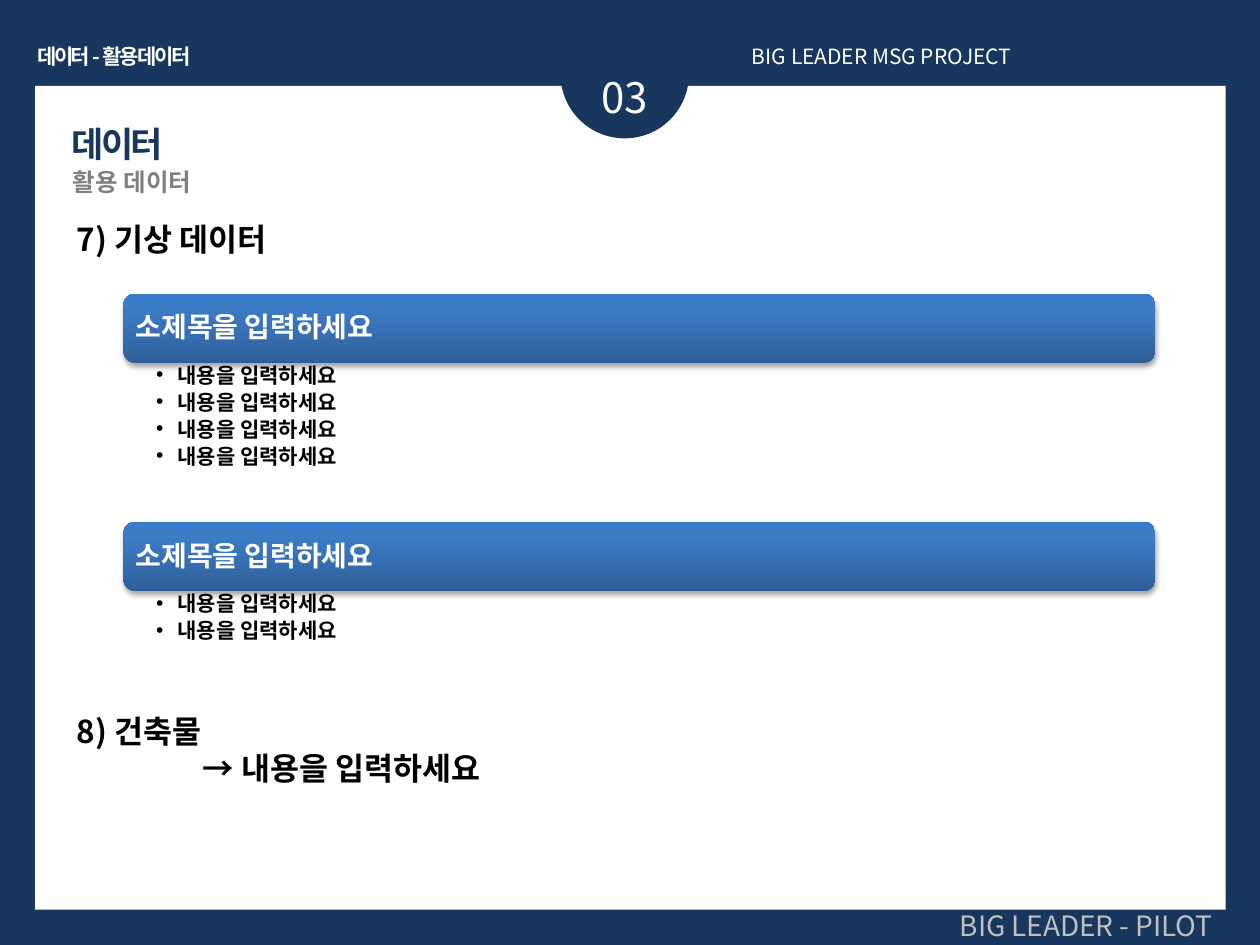
from copy import deepcopy
from dataclasses import dataclass

from lxml.etree import SubElement
from pptx import Presentation
from pptx.dml.color import RGBColor
from pptx.enum.shapes import MSO_SHAPE
from pptx.enum.text import MSO_ANCHOR, PP_ALIGN
from pptx.oxml.ns import qn
from pptx.util import Cm, Pt

FONT = "Noto Sans CJK KR"
NAVY = "17375E"
WHITE = "FFFFFF"
BLACK = "000000"
GRADIENT = [(0, "2F5F99"), (0.8, "3D7CC7"), (1, "3A7CCB")]


@dataclass
class Box:
    left: float
    top: float
    width: float
    height: float

    def inner(self, left, top, width, height):
        return Box(self.left + left, self.top + top, width, height)

    def lengths(self):
        return [Cm(value) for value in (self.left, self.top, self.width, self.height)]


def color(value):
    return RGBColor.from_string(value)


def add_shape(slide, kind, box, fill=NAVY):
    shape = slide.shapes.add_shape(kind, *box.lengths())
    shape.shadow.inherit = False
    shape.line.fill.background()
    shape.fill.solid()
    shape.fill.fore_color.rgb = color(fill)
    return shape


def write(shape, text, size, font_color, bold=False, align=PP_ALIGN.LEFT,
          font=FONT, spacing=None, wrap=True, leading=1.2):
    frame = shape.text_frame
    frame.text = text
    frame.word_wrap = wrap
    for paragraph in frame.paragraphs:
        paragraph.alignment = align
        paragraph.line_spacing = Pt(round(size * leading, 1))
        for run in paragraph.runs:
            run.font.size = Pt(size)
            run.font.bold = bold
            run.font.name = font
            run.font.color.rgb = color(font_color)
            properties = run.font._element
            SubElement(properties, qn("a:ea")).set("typeface", font)
            if spacing:
                properties.set("spc", str(int(spacing * 100)))
    return frame


def add_text(slide, box, text, size, font_color, **style):
    return write(slide.shapes.add_textbox(*box.lengths()), text, size, font_color, **style)


def set_insets(frame, left, top, right, bottom):
    frame.margin_left, frame.margin_top = Cm(left), Cm(top)
    frame.margin_right, frame.margin_bottom = Cm(right), Cm(bottom)


def set_indent(paragraph, left, first=0):
    properties = paragraph._p.get_or_add_pPr()
    properties.set("marL", str(Cm(left)))
    properties.set("indent", str(Cm(first)))
    return properties


def add_gradient(shape):
    shape.fill.gradient()
    shape.fill.gradient_angle = 90
    stop_list = shape._element.spPr.find(".//" + qn("a:gsLst"))
    stop_list.append(deepcopy(stop_list[-1]))
    for stop, (position, value) in zip(shape.fill.gradient_stops, GRADIENT):
        stop.position = position
        stop.color.rgb = color(value)


def add_shadow(shape):
    effects = shape._element.spPr.find(qn("a:effectLst"))
    shadow = SubElement(effects, qn("a:outerShdw"), blurRad=str(Pt(3.1)),
                        dist=str(Pt(1.8)), dir="5400000", rotWithShape="0")
    shade = SubElement(shadow, qn("a:srgbClr"), val=BLACK)
    SubElement(shade, qn("a:alpha"), val="35000")


def add_header(slide, box):
    add_text(slide, box.inner(0.51, 0.76, 3.89, 0.76), "데이터 - 활용 데이터", 12, WHITE,
             bold=True, spacing=-1.5, wrap=False)
    add_text(slide, box.inner(14.91, 0.76, 10, 0.76), "BIG LEADER MSG PROJECT", 12, WHITE)
    add_shape(slide, MSO_SHAPE.OVAL, box.inner(11.3, 0.2, 2.59, 2.59))
    add_text(slide, box.inner(11.1, 1.32, 3, 1.27), "03", 24, WHITE, align=PP_ALIGN.CENTER)


def add_titles(slide, box):
    add_text(slide, box.inner(0, 0, 4.8, 1.09), "데이터", 20, NAVY,
             bold=True, font="Arial", spacing=-1.5)
    add_text(slide, box.inner(0.03, 0.91, 9, 0.84), "활용 데이터", 14, "808080", bold=True)


def add_heading(slide, box, title, detail=None):
    text = f"{title}\n{detail}" if detail else title
    frame = add_text(slide, box, text, 18, BLACK, bold=True)
    for paragraph in frame.paragraphs[1:]:
        set_indent(paragraph, 2.54)


def add_topic(slide, box, title, points):
    bar = add_shape(slide, MSO_SHAPE.ROUNDED_RECTANGLE, box.inner(0, 0, box.width, 1.4))
    add_gradient(bar)
    add_shadow(bar)
    frame = write(bar, title, 16, WHITE, bold=True, leading=1.08)
    frame.vertical_anchor = MSO_ANCHOR.MIDDLE
    set_insets(frame, 0.18, 0.18, 0.18, 0.18)

    body = box.inner(0, 1.38, box.width, box.height - 1.38)
    frame = add_text(slide, body, "\n".join(points), 12, BLACK, bold=True, leading=1.08)
    set_insets(frame, 0.66, 0.05, 0.3, 0.05)
    for paragraph in frame.paragraphs:
        paragraph.space_after = Pt(2.4)
        properties = set_indent(paragraph, 0.43, -0.43)
        SubElement(properties, qn("a:buFont")).set("typeface", "Arial")
        SubElement(properties, qn("a:buChar")).set("char", "•")


def add_footer(slide, box):
    add_text(slide, box, "BIG LEADER - PILOT", 16, "BFBFBF", align=PP_ALIGN.RIGHT)


def main():
    presentation = Presentation()
    presentation.slide_width, presentation.slide_height = Cm(25.4), Cm(19.05)
    slide = presentation.slides.add_slide(presentation.slide_layouts[6])
    slide.background.fill.solid()
    slide.background.fill.fore_color.rgb = color(NAVY)

    add_shape(slide, MSO_SHAPE.RECTANGLE, Box(0.71, 1.73, 24, 16.61), WHITE)
    add_header(slide, Box(0, 0, 25.4, 2.79))
    add_titles(slide, Box(1.19, 2.34, 9.03, 1.75))
    add_heading(slide, Box(1.3, 4.32, 22.81, 1.02), "7) 기상 데이터")
    for top, height, count in [(5.92, 4.6, 4), (10.52, 3, 2)]:
        add_topic(slide, Box(2.49, top, 20.8, height), "소제목을 입력하세요",
                  ["내용을 입력하세요"] * count)
    add_heading(slide, Box(1.3, 14.22, 22.81, 1.78), "8) 건축물", "→ 내용을 입력하세요")
    add_footer(slide, Box(18.7, 18.19, 6, 0.94))
    presentation.save("out.pptx")


if __name__ == "__main__":
    main()
